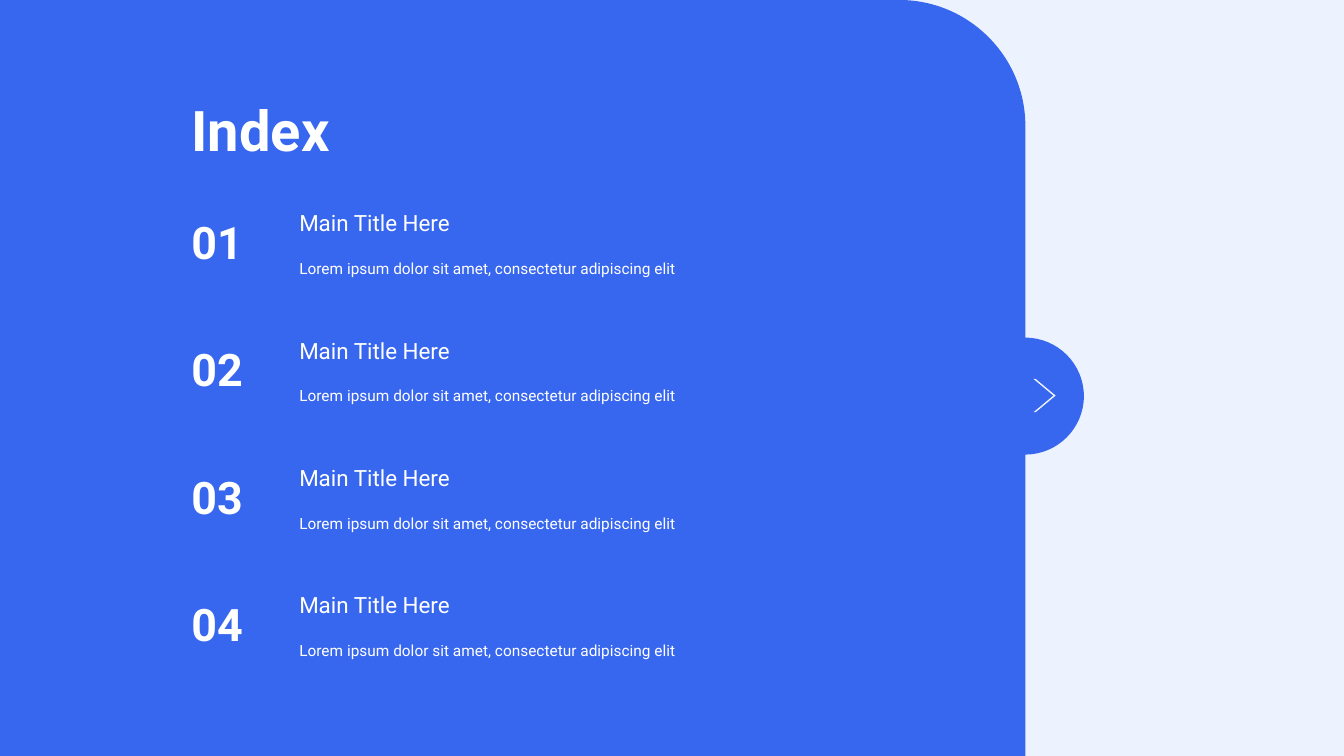
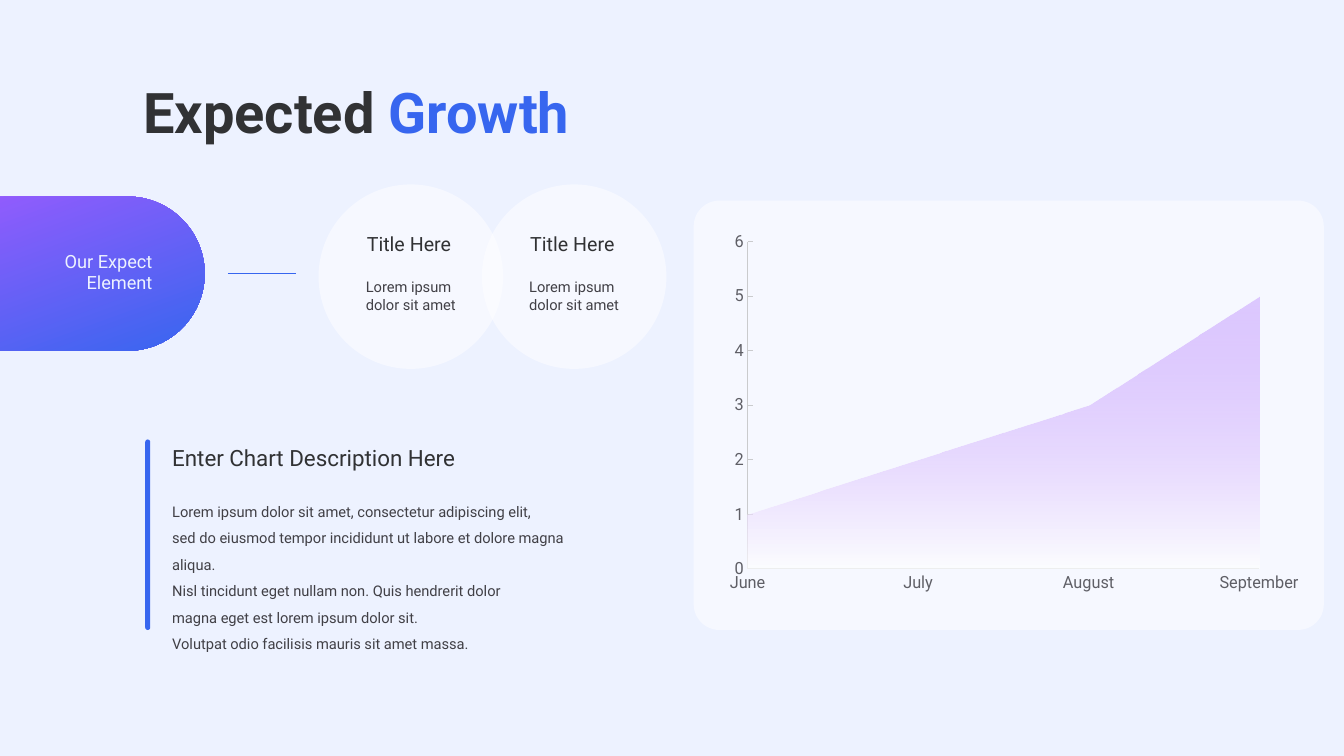
from lxml import etree
from pptx import Presentation
from pptx import util as u
from pptx.chart.data import CategoryChartData
from pptx.dml.color import RGBColor
from pptx.enum import chart as ch, shapes, text
from pptx.oxml.ns import qn

THEME = {
    "font": "Roboto",
    "blue": "3766EF", "pale": "EDF2FF", "white": "FFFFFF", "ink": "313234",
    "body": "414046", "violet": "A15AFF", "lilac": "A967FF",
    "axis": "CACBCD", "axis_text": "5F5F66",
    "title": 40, "number": 32, "heading": 16, "subhead": 14, "tag": 13,
    "tick": 12, "line": 11, "small": 10.5,
}
W, H = 13.33, 7.5

INDEX = [("Main Title Here", "Lorem ipsum dolor sit amet, consectetur adipiscing elit")] * 4
CIRCLES = [("Title Here", ["Lorem ipsum", "dolor sit amet"])] * 2
TAG = ["Our Expect", "Element"]
CHART_HEADING = "Enter Chart Description Here"
DESCRIPTION = [
    "Lorem ipsum dolor sit amet, consectetur adipiscing elit,",
    "sed do eiusmod tempor incididunt ut labore et dolore magna aliqua.",
    "Nisl tincidunt eget nullam non. Quis hendrerit dolor",
    "magna eget est lorem ipsum dolor sit.",
    "Volutpat odio facilisis mauris sit amet massa.",
]
GROWTH = {"June": 1, "July": 2, "August": 3, "September": 5}
PLOT_AREA = {"x": 0.046, "y": 0.044, "w": 0.915, "h": 0.852}


def rgb(name):
    return RGBColor.from_string(THEME[name])


def inches(*values):
    return [u.Inches(v) for v in values]


def style(font, size, color, bold=False):
    formats = {"name": THEME["font"], "size": u.Pt(THEME[size]), "bold": bold}
    for key, value in formats.items():
        setattr(font, key, value)
    font.color.rgb = rgb(color)


def set_alpha(clr, percent):
    etree.SubElement(clr, qn("a:alpha"), val=str(percent * 1000))


def gradient(fill, colors, clockwise):
    fill.gradient()
    fill.gradient_angle = 360 - clockwise
    for stop, color in zip(fill.gradient_stops, colors):
        stop.color.rgb = rgb(color)


def add_title(s, box, runs):
    """Fill the title placeholder and lift it above the shapes drawn so far."""
    title = s.shapes.title
    title.left, title.top, title.width, title.height = inches(*box)
    tf = title.text_frame
    tf.word_wrap = False
    tf.vertical_anchor = text.MSO_ANCHOR.TOP
    tf.auto_size = text.MSO_AUTO_SIZE.SHAPE_TO_FIT_TEXT
    p = tf.paragraphs[0]
    p.alignment = text.PP_ALIGN.LEFT
    for words, color in runs:
        r = p.add_run()
        r.text = words
        style(r.font, "title", color, True)
    s.shapes.element.append(title.element)


def add_text(s, box, lines, size, color, bold=False, wrap=False, **paragraph_format):
    tf = s.shapes.add_textbox(*inches(*box)).text_frame
    tf.word_wrap = wrap
    tf.auto_size = text.MSO_AUTO_SIZE.SHAPE_TO_FIT_TEXT
    for i, line in enumerate(lines):
        p = tf.paragraphs[0] if i == 0 else tf.add_paragraph()
        for key, value in paragraph_format.items():
            setattr(p, key, value)
        r = p.add_run()
        r.text = line
        style(r.font, size, color, bold)


def finish(sp, color):
    sp.shadow.inherit = False
    sp.line.fill.background()
    if color:
        sp.fill.solid()
        sp.fill.fore_color.rgb = rgb(color)


def add_shape(s, kind, box, color=None, adj=None, alpha=None):
    sp = s.shapes.add_shape(kind, *inches(*box))
    finish(sp, color)
    if adj is not None:
        sp.adjustments[0] = adj
    if alpha is not None:
        set_alpha(next(sp.element.spPr.iter(qn("a:srgbClr"))), alpha)
    return sp


def quarter(start, corner, end):
    """Two control points and the end of a quarter circle rounding a corner."""
    def toward(point):
        return tuple(a + 0.55 * (b - a) for a, b in zip(point, corner))
    return [toward(start), toward(end), end]


def add_panel(s):
    edge, r, tab, y = 10.17, 1.25, 0.58, 3.93
    tip = edge + tab
    points = [
        (edge - r, 0), *quarter((edge - r, 0), (edge, 0), (edge, r)),
        (edge, y - tab), *quarter((edge, y - tab), (tip, y - tab), (tip, y)),
        *quarter((tip, y), (tip, y + tab), (edge, y + tab)),
        (edge, H), (0, H),
    ]
    outline = s.shapes.build_freeform(0, 0, scale=1.0)
    outline.add_line_segments([inches(*point) for point in points])
    sp = outline.convert_to_shape()
    finish(sp, "blue")
    # Each rounded part: three successive points become one Bézier curve
    lines = list(sp.element.iter(qn("a:lnTo")))
    for first in (1, 5, 8):
        curve = etree.Element(qn("a:cubicBezTo"))
        lines[first].addprevious(curve)
        for line in lines[first:first + 3]:
            curve.append(line[0])
            line.getparent().remove(line)


def index_slide(s):
    add_panel(s)
    add_title(s, (1.8, 0.9, 1.58, 0.77), [("Index", "white")])
    top, last = 2.03, 5.82
    pitch = (last - top) / (len(INDEX) - 1)
    for i, (heading, line) in enumerate(INDEX):
        y = top + i * pitch
        add_text(s, (2.87, y, 1.77, 0.37), [heading], "heading", "white")
        add_text(s, (1.8, y + 0.05, 0.72, 0.64), [f"{i + 1:02}"], "number", "white", True)
        add_text(s, (2.87, y + 0.49, 3.95, 0.29), [line], "line", "white")
    add_shape(s, shapes.MSO_SHAPE.CHEVRON, (10.25, 3.76, 0.22, 0.33), "pale", 0.9)


def add_growth_chart(s, box):
    data = CategoryChartData()
    data.categories = list(GROWTH)
    data.add_series("Series 1", list(GROWTH.values()))
    chart = s.shapes.add_chart(ch.XL_CHART_TYPE.AREA, *inches(*box), data).chart
    chart.has_legend = chart.has_title = False
    style(chart.font, "tick", "axis_text")

    ticks = {chart.category_axis: ch.XL_TICK_MARK.NONE,
             chart.value_axis: ch.XL_TICK_MARK.INSIDE}
    for axis, mark in ticks.items():
        axis.has_major_gridlines = False
        axis.major_tick_mark = mark
        axis.minor_tick_mark = ch.XL_TICK_MARK.NONE
        axis.format.line.color.rgb = rgb("axis")
        axis.format.line.width = u.Pt(0.75)
        style(axis.tick_labels.font, "tick", "axis_text")
    scale = {"minimum_scale": 0, "maximum_scale": 6, "major_unit": 1}
    for key, value in scale.items():
        setattr(chart.value_axis, key, value)

    plot = chart.plots[0]
    plot.vary_by_categories = False
    gradient(plot.series[0].format.fill, ("lilac", "white"), 90)
    for stop, alpha in zip(chart.element.iter(qn("a:gs")), (33, 69)):
        set_alpha(stop[0], alpha)

    next(chart.element.iter(qn("c:crossBetween"))).set("val", "midCat")
    area = next(chart.element.iter(qn("c:plotArea")))
    for old in area.findall(qn("c:layout")):
        area.remove(old)
    layout = etree.Element(qn("c:layout"))
    area.insert(0, layout)
    manual = etree.SubElement(layout, qn("c:manualLayout"))
    values = {"layoutTarget": "inner", "xMode": "edge", "yMode": "edge", **PLOT_AREA}
    for key, value in values.items():
        etree.SubElement(manual, qn(f"c:{key}"), val=str(value))


def growth_slide(s):
    rounded = shapes.MSO_SHAPE.ROUNDED_RECTANGLE
    add_title(s, (1.32, 0.72, 4.48, 0.77), [("Expected ", "ink"), ("Growth", "blue")])

    pill = add_shape(s, rounded, (-1.22, 1.95, 3.25, 1.53), adj=0.5)
    gradient(pill.fill, ("violet", "blue"), 70)
    add_text(s, (0.53, 2.43, 1.08, 0.54), TAG, "tag", "pale",
             alignment=text.PP_ALIGN.RIGHT)

    for i, (heading, lines) in enumerate(CIRCLES):
        x = 3.16 + i * 1.62
        add_shape(s, shapes.MSO_SHAPE.OVAL, (x, 1.83, 1.83, 1.83), "white", alpha=53)
        add_text(s, (x + 0.38, 2.25, 1.06, 0.34), [heading], "subhead", "ink")
        add_text(s, (x + 0.37, 2.71, 1.09, 0.45), lines, "small", "body")

    link = s.shapes.add_connector(shapes.MSO_CONNECTOR.STRAIGHT,
                                  *inches(2.26, 2.71, 2.94, 2.71))
    link.line.color.rgb = rgb("blue")
    link.line.width = u.Pt(0.25)
    etree.SubElement(link.element.spPr, qn("a:effectLst"))

    add_text(s, (1.61, 4.36, 3.07, 0.37), [CHART_HEADING], "heading", "ink")
    add_text(s, (1.61, 4.85, 4.5, 1.4), DESCRIPTION, "small", "body", wrap=True,
             line_spacing=1.5)
    add_shape(s, rounded, (1.44, 4.36, 0.05, 1.89), "blue", 0.5)

    add_shape(s, rounded, (6.88, 1.99, 6.25, 4.26), "white", 0.06, 53)
    add_growth_chart(s, (7.16, 2.23, 5.72, 3.81))


def main():
    prs = Presentation()
    prs.slide_width, prs.slide_height = inches(W, H)
    background = prs.slide_master.background.fill
    background.solid()
    background.fore_color.rgb = rgb("pale")
    title_only = prs.slide_layouts[5]
    for build in (index_slide, growth_slide):
        build(prs.slides.add_slide(title_only))
    prs.save("out.pptx")


if __name__ == "__main__":
    main()
